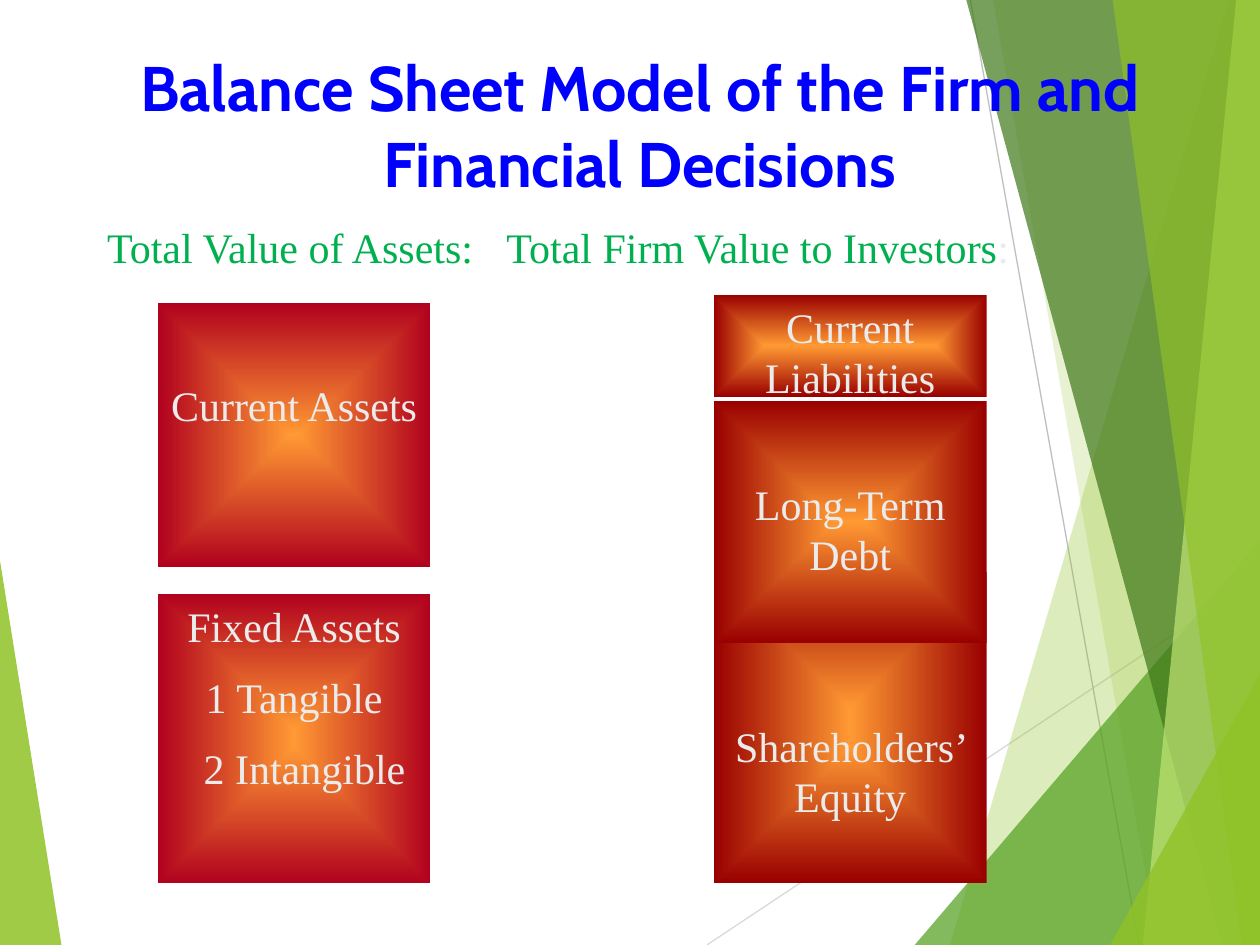
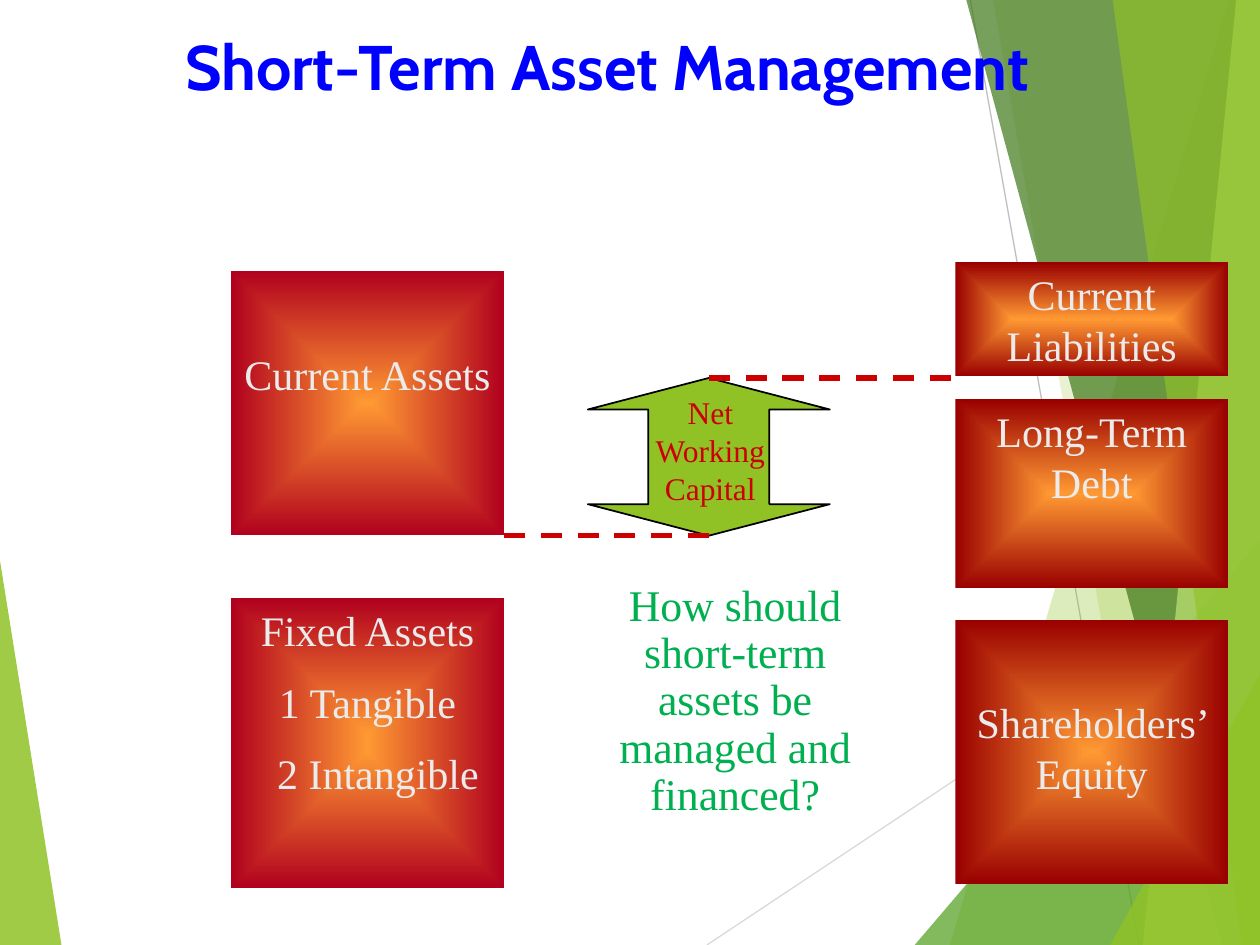
from lxml import etree
from pptx import Presentation
from pptx.dml.color import RGBColor
from pptx.enum.dml import MSO_LINE_DASH_STYLE as Dash
from pptx.enum.shapes import MSO_CONNECTOR as Conn, MSO_SHAPE as Shp
from pptx.enum.text import MSO_ANCHOR as Anchor, MSO_AUTO_SIZE as AutoSize, PP_ALIGN as Align
from pptx.oxml.ns import qn
from pptx.util import Cm, Pt

W, H = 25.4, 19.05
BOX_W = 5.5
INSET = 0.13
SKIPPED_LINE = 1.43
INDENT = 1.27

BLUE, GREEN, RED = "0000FF", "00B050", "CC0000"
PALE, GLOW, ASSET, CLAIM = "EBEBEB", "FF9933", "B1011E", "990000"
LIME, LEAF, MOSS, MINT = "90C226", "54A021", "3F7819", "C0E474"
TITLE_FONT, BODY_FONT = "Cabin", "Times New Roman"


def rgb(hex_string):
    return RGBColor.from_string(hex_string)


def cm(*values):
    return [Cm(v) for v in values]


def add_line(s, start, end, color, width, dash=None):
    line = s.shapes.add_connector(Conn.STRAIGHT, *cm(*start, *end))
    line.line.color.rgb = rgb(color)
    line.line.width = Pt(width)
    if dash:
        line.line.dash_style = dash
    etree.SubElement(line.element.spPr, qn("a:effectLst"))
    return line


def add_facet(s, points, color, opacity):
    """Draw a translucent polygon without outline."""
    start, *rest = [cm(*p) for p in points]
    builder = s.shapes.build_freeform(*start)
    builder.add_line_segments(rest, close=True)
    facet = builder.convert_to_shape()
    facet.shadow.inherit = False
    facet.line.fill.background()
    facet.fill.solid()
    facet.fill.fore_color.rgb = rgb(color)
    clr = facet.element.spPr.find(qn("a:solidFill"))[0]
    etree.SubElement(clr, qn("a:alpha"), val=str(opacity * 1000))
    return facet


def decorate_master(prs, s):
    """Draw the side facets on s and move them behind the master's placeholders."""
    right_edge = [(W, H), (W, 0)]
    corner = (W, H)
    parts = [
        add_facet(s, [(0, 11.3), (1.24, H), (0, H)], LIME, 85),
        add_line(s, (14.25, H), (W, 11.63), "D9D9D9", 0.75),
        add_line(s, (19.56, 0), (22.96, H), "BFBFBF", 0.75),
    ]
    facets = [
        ([(24.77, 0), (19.15, H), *right_edge], LIME, 30),
        ([(20.02, 0), (23.34, H), *right_edge], LIME, 20),
        ([(18.44, H), (W, 10.9), corner], LEAF, 72),
        ([(19.48, 0), (24.64, H), *right_edge], MOSS, 70),
        ([(24.92, 0), (23.04, H), *right_edge], MINT, 70),
        ([(22.43, 0), (25.04, H), *right_edge], LIME, 65),
        ([(22.38, H), (W, 13.59), corner], LIME, 80),
    ]
    parts += [add_facet(s, *facet) for facet in facets]
    tree = prs.slide_master.shapes.element
    for i, part in enumerate(parts):
        tree.insert(2 + i, part.element)


def add_run(p, text, size, color, font=BODY_FONT, bold=False):
    r = p.add_run()
    r.text = text
    r.font.name, r.font.size, r.font.bold = font, Pt(size), bold
    r.font.color.rgb = rgb(color)


def set_title(s, text, box):
    title = s.shapes.title
    title.left, title.top, title.width, title.height = cm(*box)
    tf = title.text_frame
    tf.auto_size = AutoSize.NONE
    tf.word_wrap = True
    tf.vertical_anchor = Anchor.TOP
    p = tf.paragraphs[0]
    p.alignment = Align.CENTER
    add_run(p, text, 36, BLUE, TITLE_FONT, True)


def add_text(s, box, runs, size, align=Align.LEFT, indent=0, spacing=1.0):
    """Add one paragraph built from (text, color) runs."""
    tf = s.shapes.add_textbox(*cm(*box)).text_frame
    tf.word_wrap = True
    p = tf.paragraphs[0]
    p.alignment = align
    p.line_spacing = spacing
    p._p.get_or_add_pPr().set("marL", str(Cm(indent)))
    for text, color in runs:
        add_run(p, text, size, color)


def add_block(s, box, lines, edge, skipped=0):
    """Add a glowing box; its text starts below the given number of skipped lines."""
    block = s.shapes.add_shape(Shp.RECTANGLE, *cm(*box))
    block.shadow.inherit = False
    block.line.fill.background()
    block.fill.gradient()
    for stop, color in zip(block.fill.gradient_stops, (GLOW, edge)):
        stop.color.rgb = rgb(color)
    grad = block.element.spPr.find(qn("a:gradFill"))
    grad.remove(grad.find(qn("a:lin")))
    shade = etree.SubElement(grad, qn("a:path"), path="shape")
    etree.SubElement(shade, qn("a:fillToRect"), {side: "50000" for side in "ltrb"})

    tf = block.text_frame
    tf.word_wrap = True
    tf.vertical_anchor = Anchor.TOP
    tf.margin_top = Cm(INSET + skipped * SKIPPED_LINE)
    for i, (text, indent) in enumerate(lines):
        p = tf.add_paragraph() if i else tf.paragraphs[0]
        p.alignment = Align.CENTER
        if i:
            p.space_before = Pt(12)
        if indent:
            p._p.get_or_add_pPr().set("marL", str(Cm(indent)))
        add_run(p, text, 24, PALE)


def add_assets(s, x, y, fixed_offset):
    add_block(s, (x, y, BOX_W, 5.33), [("Current Assets", 0)], ASSET, 1)
    fixed = [("Fixed Assets", 0), ("1 Tangible", 0), ("2 Intangible", 0.42)]
    add_block(s, (x, y + fixed_offset, BOX_W, 5.84), fixed, ASSET)


def add_claims(s, x, y, equity, liabilities, debt):
    """Stack the claims; each is (offset from y, height, skipped lines)."""
    claims = {"Shareholders’ Equity": equity, "Current Liabilities": liabilities,
              "Long-Term Debt": debt}
    for name, (offset, height, skipped) in claims.items():
        add_block(s, (x, y + offset, BOX_W, height), [(name, 0)], CLAIM, skipped)


def add_working_capital(s, x, y, w, h, left, right):
    """Draw the arrow, its label and dashed lines out to the two columns."""
    arrow = s.shapes.add_shape(Shp.UP_DOWN_ARROW, *cm(x, y, w, h))
    guides = arrow.element.spPr.find(qn("a:prstGeom")).find(qn("a:avLst"))
    for guide in list(guides):
        guides.remove(guide)
    for name, value in (("adj1", 50000), ("adj2", 20000)):
        etree.SubElement(guides, qn("a:gd"), name=name, fmla=f"val {value}")
    arrow.shadow.inherit = False
    arrow.fill.solid()
    arrow.fill.fore_color.rgb = rgb(LIME)
    arrow.line.color.rgb = rgb("000000")
    arrow.line.width = Pt(1)
    middle = x + w / 2
    for start, end, level in ((middle, right, y), (left, middle, y + h)):
        add_line(s, (start, level), (end, level), RED, 3, Dash.DASH)
    add_text(s, (x + 0.69, y + 0.18, 3.56, 2.54), [("Net Working Capital", RED)],
             18, Align.CENTER)


def balance_sheet_slide(s):
    set_title(s, "Balance Sheet Model of the Firm and Financial Decisions",
              (1.47, 0.86, 22.86, 3.05))
    add_assets(s, 3.18, 6.1, 5.87)
    add_text(s, (0.64, 4.45, 11.43, 1.17), [("Total Value of Assets:", GREEN)],
             24, indent=INDENT, spacing=0.9)
    add_claims(s, 14.39, 5.94, equity=(5.59, 6.27, 2), liabilities=(0, 2.06, 0),
               debt=(2.14, 4.88, 1))
    add_text(s, (8.69, 4.45, 14.6, 1.07),
             [("Total Firm Value to Investors", GREEN), (":", PALE)],
             24, indent=INDENT, spacing=0.9)


def short_term_slide(s):
    assets_x, claims_x = 4.66, 19.26
    set_title(s, "Short-Term Asset Management", (0.71, 0.43, 23.06, 2.06))
    add_working_capital(s, 11.85, 7.62, 4.88, 3.18, assets_x + BOX_W, claims_x)
    add_text(s, (10.59, 11.64, 7.19, 6.6),
             [("How should short-term assets be managed and financed?", GREEN)],
             25, Align.CENTER, INDENT, 0.9)
    add_claims(s, claims_x, 5.29, equity=(7.2, 5.33, 1), liabilities=(0, 2.29, 0),
               debt=(2.76, 3.81, 0))
    add_assets(s, assets_x, 5.46, 6.6)


def main():
    prs = Presentation()
    prs.slide_width, prs.slide_height = cm(W, H)
    title_only = prs.slide_layouts[5]
    first, second = [prs.slides.add_slide(title_only) for _ in range(2)]
    decorate_master(prs, first)
    balance_sheet_slide(first)
    short_term_slide(second)
    prs.save("out.pptx")


if __name__ == "__main__":
    main()
